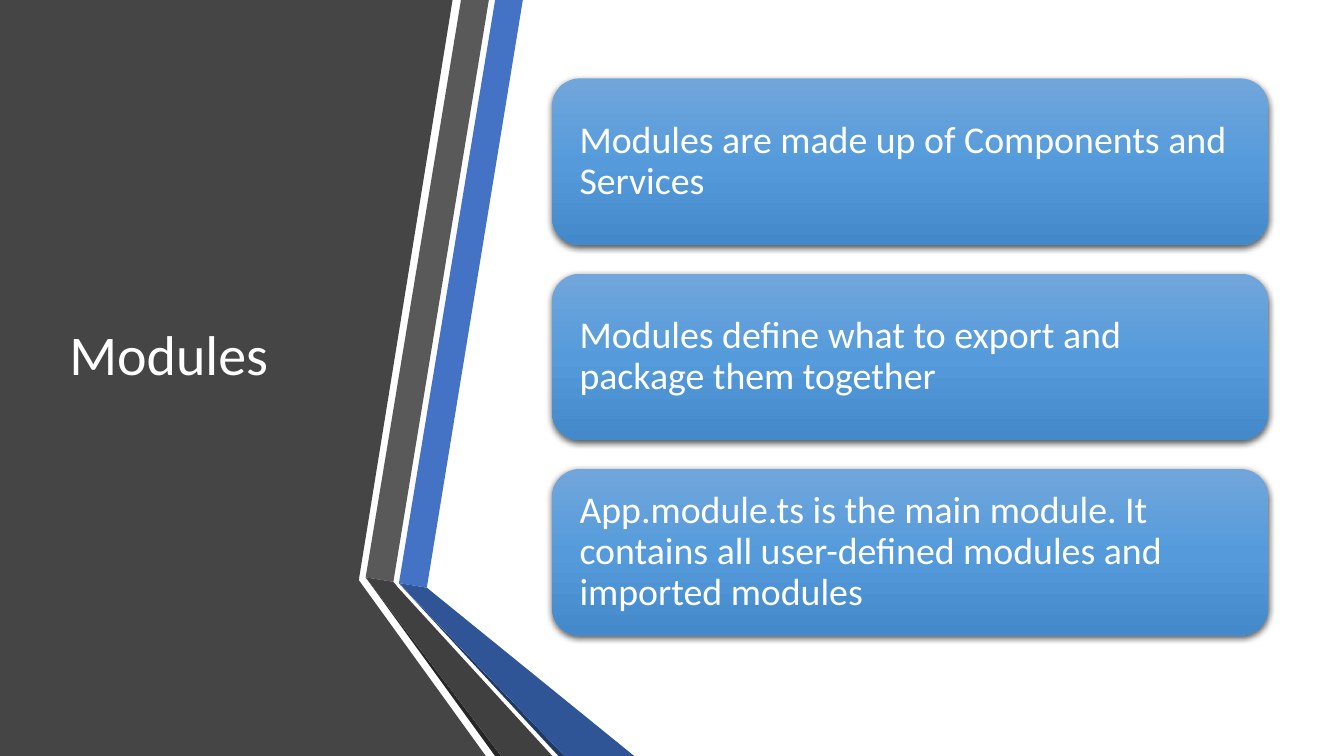
"""Build a slide on modules: a folded ribbon panel and three stacked cards."""
from copy import deepcopy
from pptx import Presentation
from pptx.util import Pt
from pptx.dml.color import RGBColor
from pptx.enum.shapes import MSO_SHAPE
from pptx.enum.text import MSO_ANCHOR
from pptx.oxml import parse_xml
from pptx.oxml.ns import nsdecls

TITLE = "Modules"
CARDS = [
    "Modules are made up of Components and Services",
    "Modules define what to export and package them together",
    "App.module.ts is the main module. It contains all user-defined modules and imported modules",
]
COLORS = {
    "panel": "454545", "blue": "4472C4", "gray": "595959",
    "black": "262626", "navy": "203864", "deep": "2F5597",
    "dark": "404040", "text": "FFFFFF",
    "top": "71A6DB", "mid": "559BDB", "low": "448ACA", "shade": "000000",
}
BANDS = [
    ("panel", [(0, 0), (323.3, 0), (256.3, 414.4), (347, 540), (0, 540)]),
    ("blue", [(285, 416.5), (304.9, 419.8), (373.5, 0), (353.7, 0)]),
    ("gray", [(349.2, 0), (329.3, 0), (261.2, 412.4), (281, 415.6)]),
    ("black", [(261.2, 412.4), (353.6, 540), (358, 540)]),
    ("navy", [(285, 416.7), (398.9, 540), (403.2, 540)]),
    ("deep", [(285, 416.5), (403.2, 540), (453, 540), (304.9, 419.8)]),
    ("dark", [(261.2, 412.4), (358, 540), (394.5, 540), (284.4, 419.8), (281, 415.6)]),
]
LEFT, TOP, WIDE, HIGH, STEP = 394.5, 56, 511.3, 119, 139.5


def tint(name):
    return RGBColor.from_string(COLORS[name])


def write(shape, text, size, side=7.2):
    frame = shape.text_frame
    frame.word_wrap = True
    frame.vertical_anchor = MSO_ANCHOR.MIDDLE
    frame.margin_left = frame.margin_right = Pt(side)
    para = frame.paragraphs[0]
    para.line_spacing = 0.9
    run = para.add_run()
    run.text = text
    run.font.size = Pt(size)
    run.font.name = "Calibri"
    run.font.color.rgb = tint("text")


def band(name, dots):
    spots = [(Pt(x), Pt(y)) for x, y in dots]
    pen = shapes.build_freeform(*spots[0])
    pen.add_line_segments(spots[1:], close=True)
    shape = pen.convert_to_shape()
    shape.shadow.inherit = False
    shape.fill.solid()
    shape.fill.fore_color.rgb = tint(name)
    shape.line.fill.background()


def shade(fill):
    fill.gradient()
    fill.gradient_angle = 270
    first = fill.gradient_stops[0]._gs
    first.addnext(deepcopy(first))
    for stop, spot, name in zip(fill.gradient_stops, (0, 0.5, 1), ("top", "mid", "low")):
        stop.position = spot
        stop.color.rgb = tint(name)


def card(row, text):
    shape = shapes.add_shape(MSO_SHAPE.ROUNDED_RECTANGLE, Pt(LEFT),
                             Pt(TOP + row * STEP), Pt(WIDE), Pt(HIGH))
    shade(shape.fill)
    shape.line.fill.background()
    shape._element.spPr.append(parse_xml(
        f'<a:effectLst {nsdecls("a")}><a:outerShdw blurRad="{Pt(4.5)}" dist="{Pt(1.5)}" '
        f'dir="5400000" algn="ctr" rotWithShape="0"><a:srgbClr val="{COLORS["shade"]}">'
        '<a:alpha val="63000"/></a:srgbClr></a:outerShdw></a:effectLst>'))
    write(shape, text, 27, side=13.7)
    shape.text_frame.paragraphs[0].alignment = 1


deck = Presentation()
deck.slide_width, deck.slide_height = Pt(960), Pt(540)
shapes = deck.slides.add_slide(deck.slide_layouts[6]).shapes
for name, dots in BANDS:
    band(name, dots)
write(shapes.add_textbox(Pt(42.5), Pt(54), Pt(219), Pt(402)), TITLE, 40)
for row, text in enumerate(CARDS):
    card(row, text)
deck.save("out.pptx")
